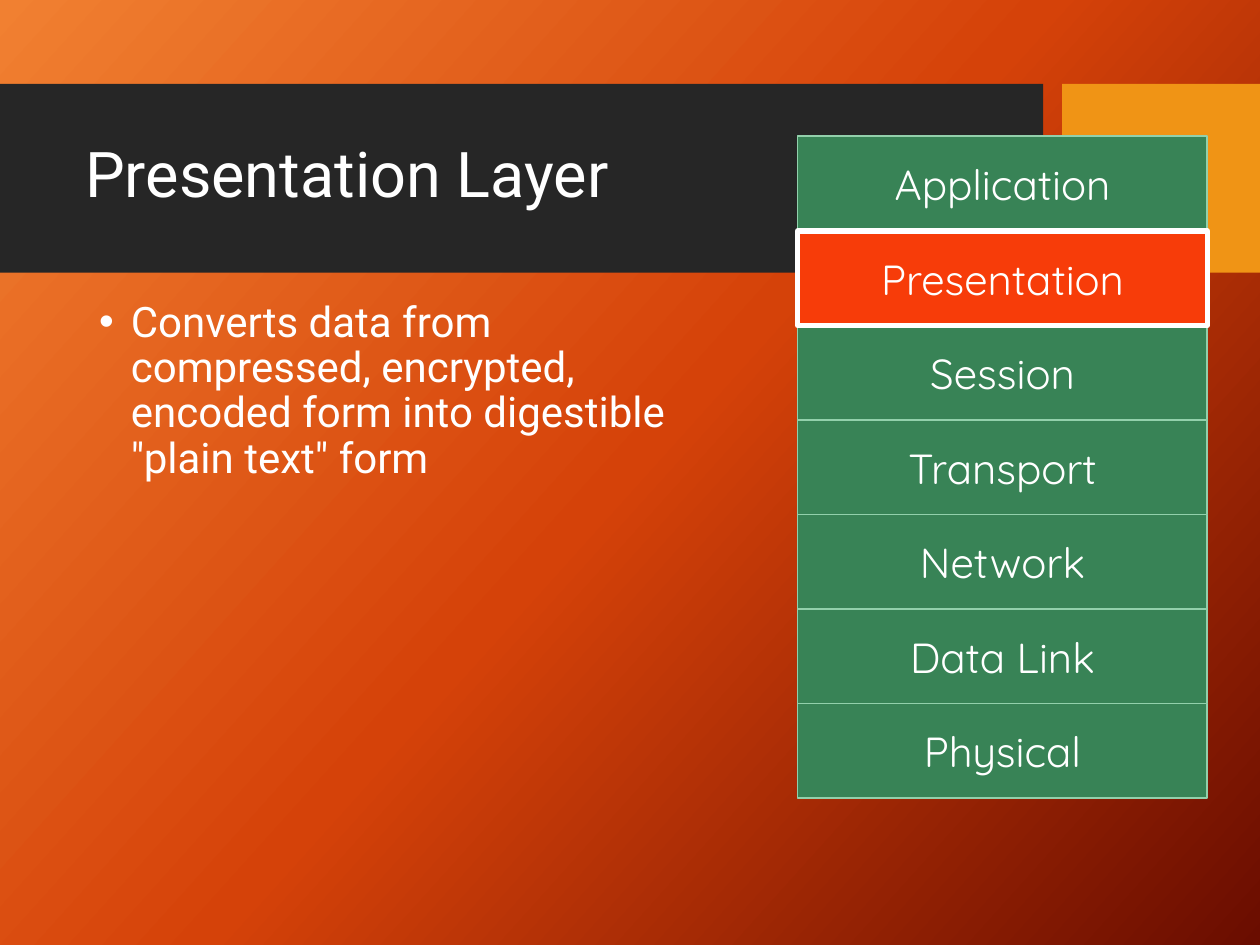
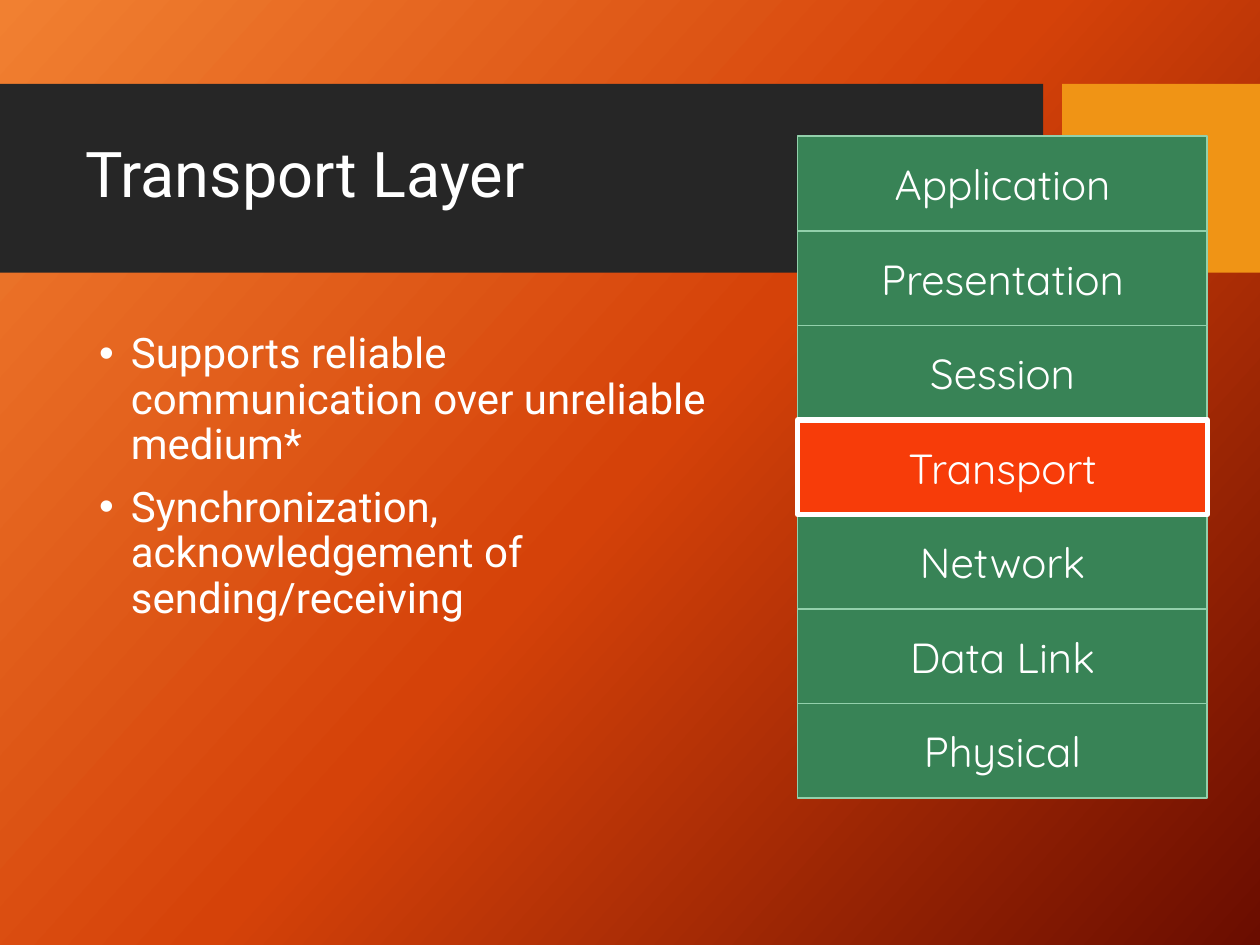
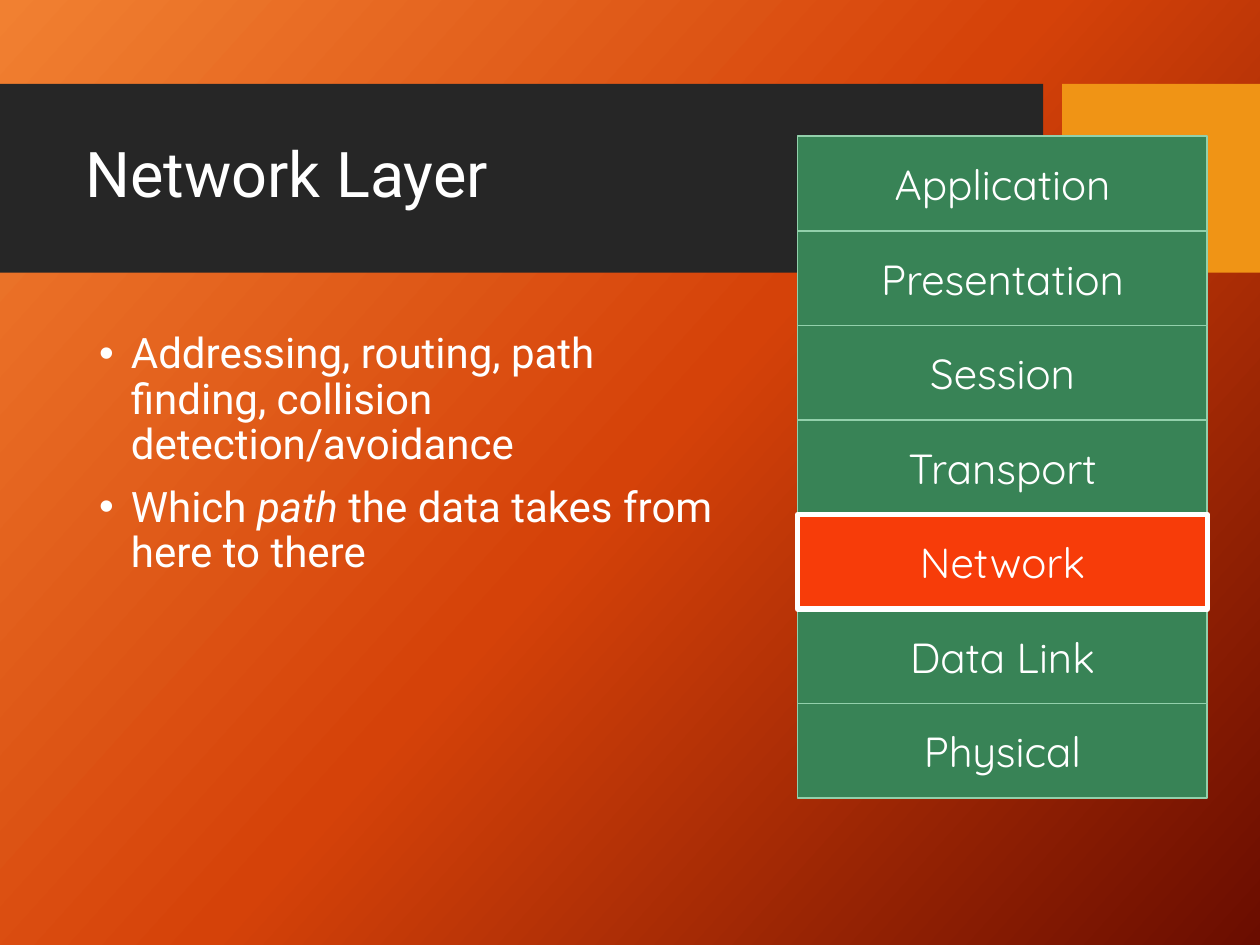
from copy import deepcopy

from lxml.etree import SubElement
from pptx import Presentation
from pptx.dml.color import RGBColor
from pptx.enum.shapes import MSO_SHAPE as Shape
from pptx.enum.text import MSO_ANCHOR as Anchor, PP_ALIGN as Align
from pptx.oxml.ns import qn
from pptx.util import Cm, Pt

COLORS = {
    "glow": "F18031",
    "ember": "D54209",
    "maroon": "6A0D00",
    "band": "262626",
    "accent": "F09415",
    "layer": "388356",
    "layer_edge": "92D0AB",
    "active": "F73C09",
    "white": "FFFFFF",
}
HEADING_FONT = "Roboto"
LAYER_FONT = "Quicksand"

BAND_BOX = (0, 1.69, 25.4, 3.81)
TITLE_BOX = (1.47, 2.08, 19.15, 3)
STACK_BOX = (16.08, 2.75, 8.26, 13.34)
BAND_WIDTH = 21.03
BAND_GAP = 0.38
BULLET_INDENT = 0.64

LAYERS = [
    "Application", "Presentation", "Session", "Transport",
    "Network", "Data Link", "Physical",
]

LESSONS = [
    ("Presentation", (1.75, 5.94, 13.34, 12.57), [
        'Converts data from compressed, encrypted, encoded form into digestible "plain text" form',
    ]),
    ("Transport", (1.75, 6.58, 13.34, 8.1), [
        "Supports reliable communication over unreliable medium*",
        "Synchronization, acknowledgement of sending/receiving",
    ]),
    ("Network", (1.75, 6.58, 13.34, 8.25), [
        "Addressing, routing, path finding, collision detection/avoidance",
        "Which _path_ the data takes from here to there",
    ]),
]


def rgb(name):
    return RGBColor.from_string(COLORS[name])


def add_bullet(paragraph):
    properties = paragraph._p.get_or_add_pPr()
    properties.set("marL", str(Cm(BULLET_INDENT)))
    properties.set("indent", str(-Cm(BULLET_INDENT)))
    SubElement(properties, qn("a:buFont"), typeface="Arial")
    SubElement(properties, qn("a:buChar"), char="•")


def write(frame, *lines, size=24, font=HEADING_FONT, color="white",
          align=Align.LEFT, anchor=Anchor.TOP, spacing=None, gap=0, bullets=False):
    frame.word_wrap = True
    frame.vertical_anchor = anchor
    for index, line in enumerate(lines):
        paragraph = frame.add_paragraph() if index else frame.paragraphs[0]
        if bullets:
            add_bullet(paragraph)
        paragraph.alignment = align
        if spacing:
            paragraph.line_spacing = spacing
        if index and gap:
            paragraph.space_before = Pt(gap)
        for position, piece in enumerate(line.split("_")):
            run = paragraph.add_run()
            run.text = piece
            run.font.size = Pt(size)
            run.font.name = font
            run.font.color.rgb = rgb(color)
            if position % 2:
                run.font.italic = True


def add_block(slide, box, fill, edge=None, edge_width=1):
    block = slide.shapes.add_shape(Shape.RECTANGLE, *map(Cm, box))
    block.shadow.inherit = False
    block.fill.solid()
    block.fill.fore_color.rgb = rgb(fill)
    if edge:
        block.line.color.rgb = rgb(edge)
        block.line.width = Pt(edge_width)
    else:
        block.line.fill.background()
    return block


def paint_background(master):
    fill = master.background.fill
    fill.gradient()
    fill.gradient_angle = 318
    stop_list = master.element.find(".//" + qn("a:gsLst"))
    stop_list.insert(1, deepcopy(stop_list[0]))
    for stop, position, name in zip(fill.gradient_stops, (0, 0.5, 1),
                                    ("glow", "ember", "maroon")):
        stop.position = position
        stop.color.rgb = rgb(name)


def add_header(slide, box, title):
    left, top, width, height = box
    accent_offset = BAND_WIDTH + BAND_GAP
    add_block(slide, (left, top, BAND_WIDTH, height), "band")
    add_block(slide, (left + accent_offset, top, width - accent_offset, height), "accent")
    heading = slide.shapes.add_textbox(*map(Cm, TITLE_BOX))
    write(heading.text_frame, title, size=36, anchor=Anchor.MIDDLE, spacing=0.9)


def add_points(slide, box, points):
    body = slide.shapes.add_textbox(*map(Cm, box))
    write(body.text_frame, *points, spacing=0.9, gap=10, bullets=True)


def add_layer_stack(slide, box, active):
    left, top, width, height = box
    row_height = height / len(LAYERS)
    for layer in sorted(LAYERS, key=lambda name: name == active):
        row_top = top + LAYERS.index(layer) * row_height
        style = ("active", "white", 3) if layer == active else ("layer", "layer_edge", 1)
        row = add_block(slide, (left, row_top, width, row_height), *style)
        write(row.text_frame, layer, font=LAYER_FONT,
              align=Align.CENTER, anchor=Anchor.MIDDLE)


def main():
    deck = Presentation()
    deck.slide_width = Cm(25.4)
    deck.slide_height = Cm(19.05)
    paint_background(deck.slide_master)
    blank = deck.slide_layouts[6]
    for layer, points_box, points in LESSONS:
        slide = deck.slides.add_slide(blank)
        add_header(slide, BAND_BOX, f"{layer} Layer")
        add_points(slide, points_box, points)
        add_layer_stack(slide, STACK_BOX, layer)
    deck.save("out.pptx")


if __name__ == "__main__":
    main()
